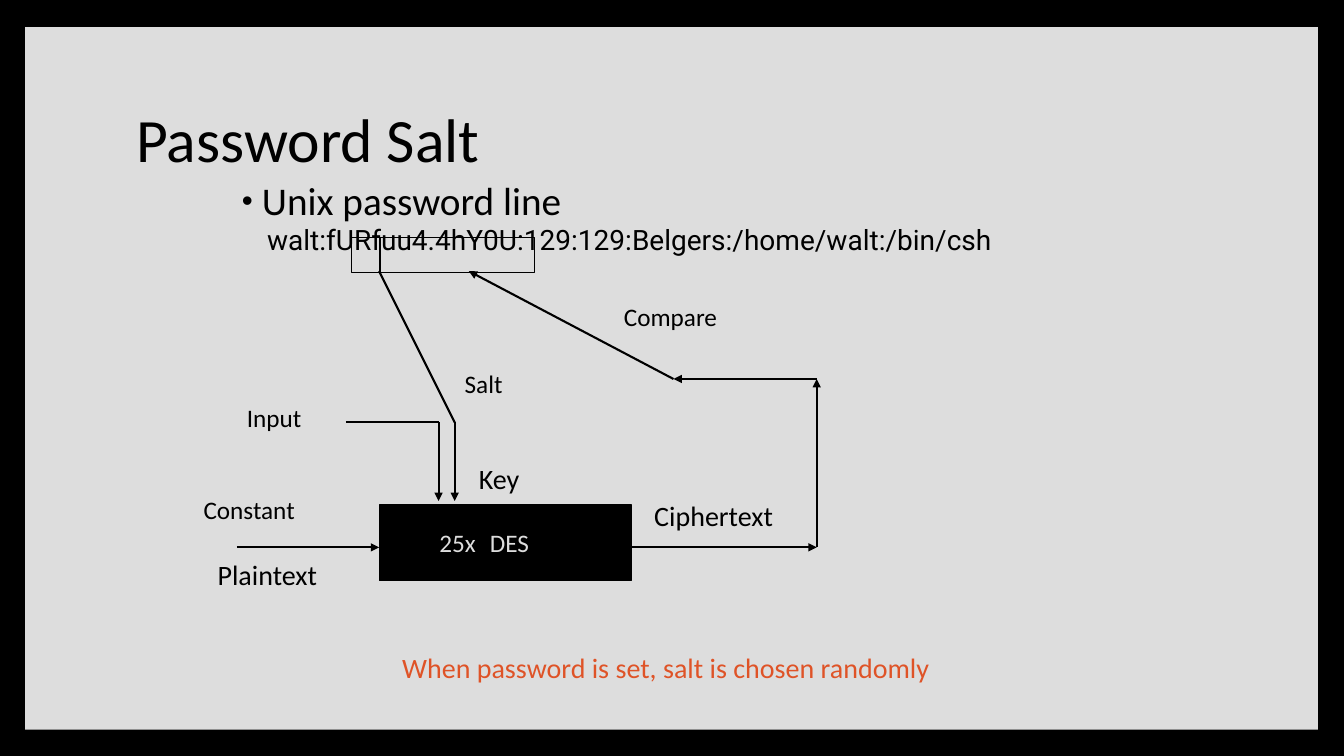
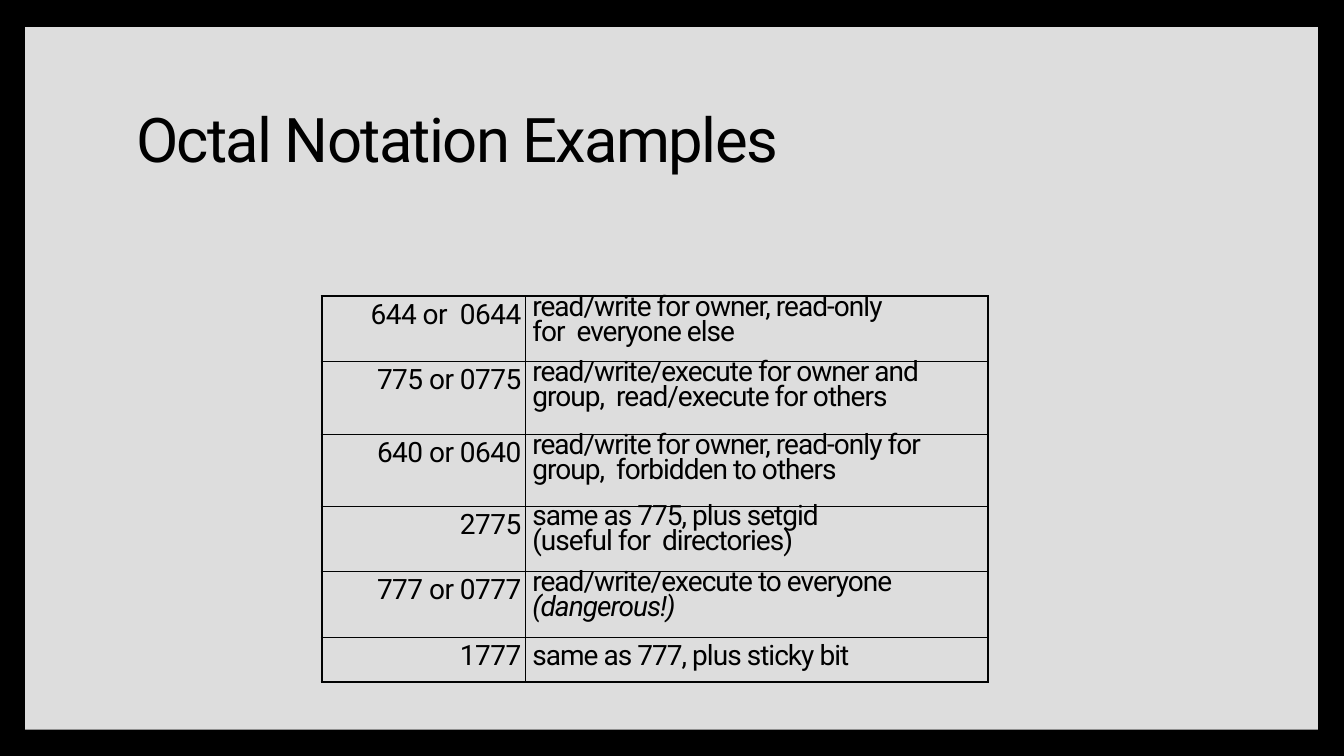
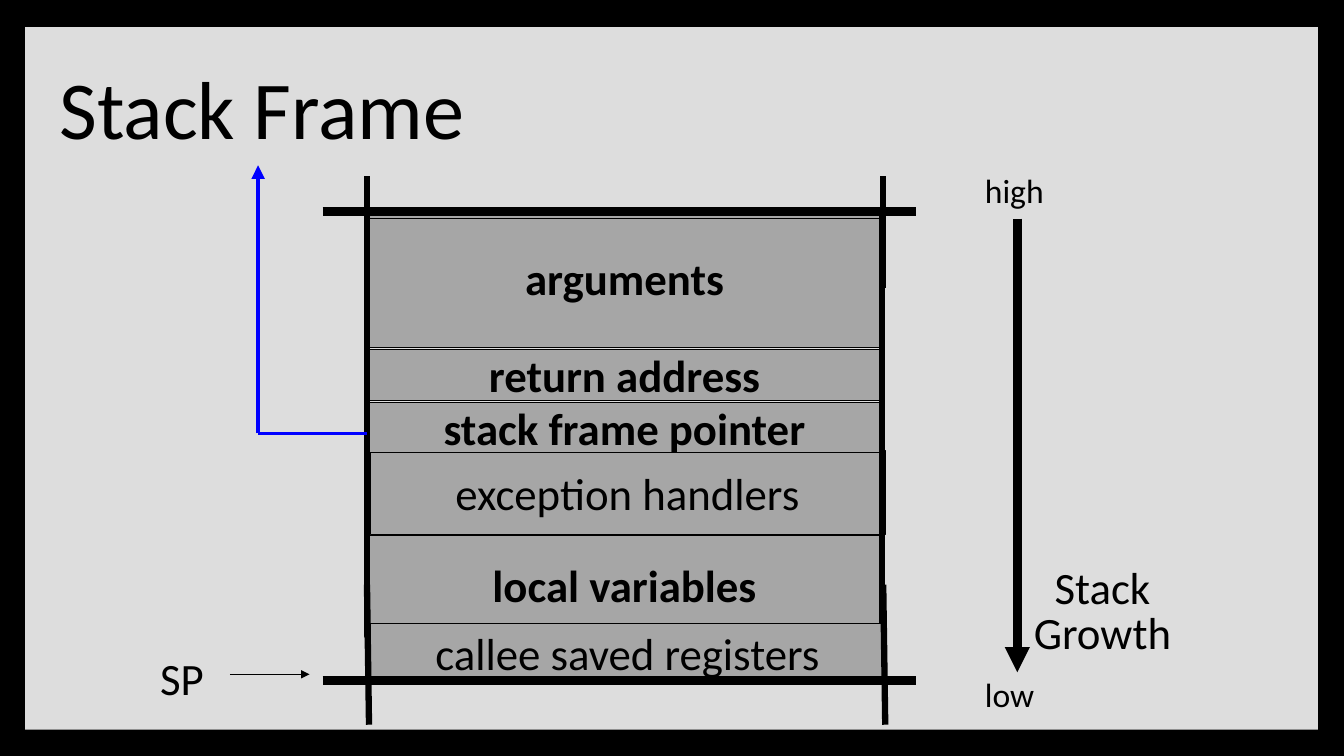
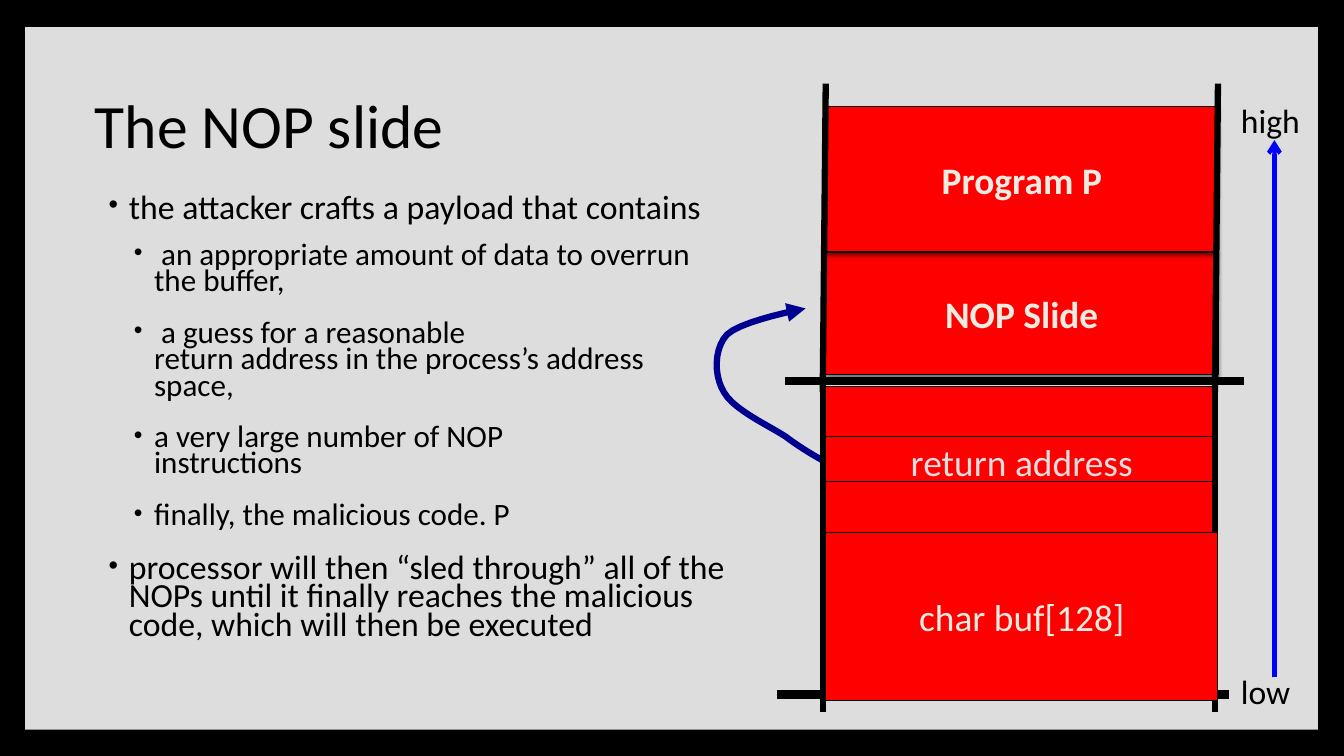
from lxml.etree import SubElement
from pptx import Presentation
from pptx.dml.color import RGBColor
from pptx.enum.shapes import MSO_CONNECTOR, MSO_SHAPE
from pptx.enum.text import MSO_ANCHOR, MSO_AUTO_SIZE, PP_ALIGN
from pptx.oxml.ns import qn
from pptx.util import Inches, Pt

BLACK = RGBColor(0x00, 0x00, 0x00)
PANEL = RGBColor(0xDD, 0xDD, 0xDD)
GRAY = RGBColor(0xA6, 0xA6, 0xA6)
RED = RGBColor(0xFF, 0x00, 0x00)
CREAM = RGBColor(0xEE, 0xEC, 0xE1)
ORANGE = RGBColor(0xDF, 0x53, 0x27)
BLUE = RGBColor(0x00, 0x00, 0xFF)
NAVY = RGBColor(0x00, 0x00, 0x90)
TABLE_INK = RGBColor(0x01, 0x02, 0x02)


def bezier(start, control_1, control_2, end, steps=10):
    """Points on a cubic curve, without its start."""
    points = []
    for step in range(1, steps + 1):
        t = step / steps
        weights = ((1 - t) ** 3, 3 * t * (1 - t) ** 2, 3 * t * t * (1 - t), t ** 3)
        corners = (start, control_1, control_2, end)
        points.append(tuple(Inches(sum(w * c[axis] for w, c in zip(weights, corners)))
                            for axis in (0, 1)))
    return points


class SlideBuilder:
    def __init__(self):
        self.deck = Presentation()
        self.deck.slide_width = Inches(13.33)
        self.deck.slide_height = Inches(7.5)
        self.layout = self.deck.slide_layouts[5]
        fill = self.layout.background.fill
        fill.solid()
        fill.fore_color.rgb = BLACK
        self.page = None

    def add_page(self, title, left=1.25, top=0.67, width=10.8, height=1.48,
                 size=44, font="Calibri", spacing=0):
        first = self.page is None
        self.page = self.deck.slides.add_slide(self.layout)
        if first:
            panel = self.rectangle(0.25, 0.27, 12.82, 6.97, PANEL, weight=0)
            self.layout.shapes.element.insert(2, panel.element)
        box = self.page.shapes.title
        box.left, box.top = Inches(left), Inches(top)
        box.width, box.height = Inches(width), Inches(height)
        frame = box.text_frame
        frame.auto_size = MSO_AUTO_SIZE.NONE
        frame.vertical_anchor = MSO_ANCHOR.MIDDLE
        para = frame.paragraphs[0]
        self.set_text(para, title, size, font=font, spacing=spacing)
        para.line_spacing = 0.9

    def set_text(self, para, text, size, color=BLACK, font="Calibri", bold=False,
                 italic=False, align=PP_ALIGN.LEFT, spacing=0):
        """Fill a paragraph; spacing is the letter spacing in points."""
        para.text = text
        para.alignment = align
        style = para.font
        style.name, style.size, style.bold, style.italic = font, Pt(size), bold, italic
        style.color.rgb = color
        if spacing:
            for span in para.runs:
                span._r.get_or_add_rPr().set("spc", str(round(spacing * 100)))

    def indent(self, para, left, first=0.0, bullet=False):
        properties = para._p.get_or_add_pPr()
        properties.set("marL", str(Inches(left)))
        properties.set("indent", str(Inches(first)))
        if bullet:
            marks = [("buClr", {}), ("buSzPct", {"val": "80000"}),
                     ("buFont", {"typeface": "Arial"}), ("buChar", {"char": "•"})]
            at = next((i for i, child in enumerate(properties)
                       if child.tag == qn("a:defRPr")), len(properties))
            for offset, (tag, values) in enumerate(marks):
                mark = SubElement(properties, qn("a:" + tag), values)
                if tag == "buClr":
                    SubElement(mark, qn("a:srgbClr"), {"val": str(BLACK)})
                properties.insert(at + offset, mark)

    def label(self, text, left, top, width, height, size=18, color=BLACK,
              align=PP_ALIGN.LEFT):
        box = self.page.shapes.add_textbox(Inches(left), Inches(top),
                                           Inches(width), Inches(height))
        frame = box.text_frame
        frame.word_wrap = False
        frame.auto_size = MSO_AUTO_SIZE.SHAPE_TO_FIT_TEXT
        for number, line in enumerate(text.split("\n")):
            para = frame.add_paragraph() if number else frame.paragraphs[0]
            self.set_text(para, line, size, color, align=align)
        return box

    def outline(self, left, top, width, height, items):
        """Items are (level, text, size, font, bulleted, line spacing, space before)."""
        box = self.page.shapes.add_textbox(Inches(left), Inches(top),
                                           Inches(width), Inches(height))
        frame = box.text_frame
        frame.word_wrap = True
        for number, (level, text, size, font, bullet, leading, before) in enumerate(items):
            para = frame.add_paragraph() if number else frame.paragraphs[0]
            self.set_text(para, text, size, font=font)
            para.line_spacing = leading
            para.space_before = Pt(before)
            para.space_after = Pt(4 * level)
            self.indent(para, 0.25 * (level + 1), -0.2, bullet)

    def rectangle(self, left, top, width, height, fill=None, weight=0.75,
                  text="", size=32, color=BLACK, bold=False, align=PP_ALIGN.CENTER):
        box = self.page.shapes.add_shape(MSO_SHAPE.RECTANGLE, Inches(left), Inches(top),
                                         Inches(width), Inches(height))
        box.shadow.inherit = False
        if fill is None:
            box.fill.background()
        else:
            box.fill.solid()
            box.fill.fore_color.rgb = fill
        if weight:
            box.line.color.rgb = BLACK
            box.line.width = Pt(weight)
        else:
            box.line.fill.background()
        if text:
            frame = box.text_frame
            frame.vertical_anchor = MSO_ANCHOR.MIDDLE
            self.set_text(frame.paragraphs[0], text, size, color, bold=bold, align=align)
        return box

    def drop_shadow(self, box):
        effects = box.element.spPr.find(qn("a:effectLst"))
        shadow = SubElement(effects, qn("a:outerShdw"), {
            "blurRad": str(Pt(3)), "dist": str(Pt(2)), "dir": "5400000",
            "rotWithShape": "0"})
        color = SubElement(shadow, qn("a:srgbClr"), {"val": str(BLACK)})
        SubElement(color, qn("a:alpha"), {"val": "45000"})

    def stroke(self, shape, weight, color, head):
        shape.line.color.rgb = color
        shape.line.width = Pt(weight)
        if head:
            SubElement(shape.line._get_or_add_ln(), qn("a:tailEnd"), {"type": head})

    def line(self, x1, y1, x2, y2, weight=1.5, color=BLACK, head=None):
        link = self.page.shapes.add_connector(MSO_CONNECTOR.STRAIGHT, Inches(x1), Inches(y1),
                                              Inches(x2), Inches(y2))
        self.stroke(link, weight, color, head)
        SubElement(link.element.spPr, qn("a:effectLst"))

    def arrow(self, x1, y1, x2, y2, weight=1.5, color=BLACK, head="triangle"):
        self.line(x1, y1, x2, y2, weight, color, head)

    def curved_arrow(self, start, curves, weight, color):
        """Draw cubic curves, each given as two controls and an end."""
        builder = self.page.shapes.build_freeform(Inches(start[0]), Inches(start[1]))
        for control_1, control_2, end in curves:
            builder.add_line_segments(bezier(start, control_1, control_2, end), close=False)
            start = end
        curve = builder.convert_to_shape()
        curve.shadow.inherit = False
        curve.fill.background()
        self.stroke(curve, weight, color, "triangle")

    def cell_borders(self, cell, weights):
        properties = cell._tc.get_or_add_tcPr()
        for number, (side, weight) in enumerate(zip("LRTB", weights)):
            border = SubElement(properties, qn("a:ln" + side), {"w": str(Pt(weight))})
            fill = SubElement(border, qn("a:solidFill"))
            SubElement(fill, qn("a:srgbClr"), {"val": str(TABLE_INK)})
            properties.insert(number, border)

    def mode_table(self, left, top, widths, rows):
        """Rows hold height, mode, description paragraphs and right margin."""
        height = sum(row[0] for row in rows)
        table = self.page.shapes.add_table(len(rows), len(widths), Inches(left), Inches(top),
                                           Inches(sum(widths)), Inches(height)).table
        table.first_row = table.horz_banding = False
        for column, width in zip(table.columns, widths):
            column.width = Inches(width)
        last = len(rows) - 1
        for number, (height, mode, lines, margin) in enumerate(rows):
            table.rows[number].height = Inches(height)
            columns = (([mode], PP_ALIGN.RIGHT, 0.04, -0.4), (lines, PP_ALIGN.LEFT, margin, -0.7))
            for index, (texts, align, right, spacing) in enumerate(columns):
                cell = table.cell(number, index)
                cell.fill.background()
                cell.margin_left, cell.margin_right = Inches(0.07), Inches(right)
                cell.margin_top, cell.margin_bottom = Inches(0.02), 0
                self.cell_borders(cell, (0.75 if index else 1.5, 1.5 if index else 0.75,
                                         0.75 if number else 1.5,
                                         1.5 if number == last else 0.75))
                for order, text in enumerate(texts):
                    frame = cell.text_frame
                    para = frame.add_paragraph() if order else frame.paragraphs[0]
                    self.set_text(para, text, 20, font="Roboto", italic=order > 0,
                                  align=align, spacing=spacing)
                    para.space_before = Pt(0 if order else 1.3)
                    if index and number < last:
                        para.line_spacing = Pt(17.8)


def password_salt(slides):
    slides.add_page("Password Salt")
    slides.outline(2.25, 1.75, 8.58, 1.17, [
        (0, "Unix password line", 28, "Calibri", True, 0.9, 14),
        (1, "walt:fURfuu4.4hY0U:129:129:Belgers:/home/walt:/bin/csh",
         20, "Roboto", False, 0.9, 2)])
    slides.rectangle(3.49, 2.36, 0.28, 0.34)
    slides.rectangle(3.76, 2.36, 1.54, 0.34)
    cipher = slides.rectangle(3.76, 5.01, 2.5, 0.75, BLACK, text="25x \tDES", size=18,
                              color=PANEL, align=PP_ALIGN.LEFT)
    slides.indent(cipher.text_frame.paragraphs[0], 0.5)
    for text, left, top, width, size in (
            ("Input", 2.35, 3.94, 0.75, 18), ("Salt", 4.51, 3.61, 0.61, 18),
            ("Key", 4.65, 4.53, 0.65, 20), ("Constant", 1.92, 4.85, 1.15, 18),
            ("Plaintext", 2.06, 5.48, 1.25, 20), ("Ciphertext", 6.39, 4.9, 1.46, 20),
            ("Compare", 6.09, 2.94, 1.16, 18)):
        slides.label(text, left, top, width, 0.4, size)
    slides.line(3.43, 4.19, 4.35, 4.19)
    slides.line(3.76, 2.69, 4.51, 4.19)
    for ends in ((4.35, 4.19, 4.35, 4.97), (4.51, 4.19, 4.51, 4.97),
                 (2.35, 5.43, 3.76, 5.43), (6.26, 5.43, 8.1, 5.43),
                 (8.1, 5.43, 8.1, 3.76), (8.1, 3.76, 6.68, 3.76),
                 (6.68, 3.76, 4.65, 2.69)):
        slides.arrow(*ends)
    note = slides.label("When password is set, salt is chosen randomly",
                        3.89, 6.5, 5.52, 0.35, 20, ORANGE)
    note.text_frame.paragraphs[0].line_spacing = 0.7


def octal_notation(slides):
    slides.add_page("Octal Notation Examples", font="Roboto", spacing=-1.2)
    slides.mode_table(3.19, 2.94, (2.02, 4.59), [
        (0.65, "644 or  0644", ["read/write for owner, read-only for  everyone else"], 0.9),
        (0.72, "775 or 0775",
         ["read/write/execute for owner and group,  read/execute for others"], 0.5),
        (0.71, "640 or 0640",
         ["read/write for owner, read-only for group,  forbidden to others"], 0.5),
        (0.65, "2775", ["same as 775, plus setgid (useful for  directories)"], 0.9),
        (0.65, "777 or 0777", ["read/write/execute to everyone", "(dangerous!)"], 0.5),
        (0.45, "1777", ["same as 777, plus sticky bit"], 0.5)])


def stack_frame(slides):
    slides.add_page("Stack Frame", 0.49, 0.49, 12, 1.25, size=58.7)
    for text, left, top, height, bold in (
            ("exception handlers", 3.67, 4.47, 0.83, False),
            ("arguments", 3.64, 2.06, 1.39, True),
            ("return address", 3.64, 3.47, 0.5, True),
            ("stack frame pointer", 3.64, 3.99, 0.5, True),
            ("local variables", 3.64, 5.31, 0.98, True)):
        slides.rectangle(left, top, 5.11, height, GRAY, text=text, bold=bold)
    slides.line(3.64, 2.17, 8.75, 2.17, 0.75)
    slides.rectangle(3.64, 2.11, 5.11, 4.2, weight=4.5)
    slides.rectangle(3.67, 6.19, 5.11, 0.56, GRAY, text="callee saved registers")
    for y in (2.1, 6.75):
        slides.line(3.2, y, 9.09, y, 6)
    for x in (3.64, 8.76):
        slides.line(x, 1.75, x, 2.86, 4.5)
        slides.line(x, 5.8, x + 0.02, 7.19, 4.5)
    slides.line(3.64, 4.3, 2.56, 4.3, 2.25, BLUE)
    slides.arrow(2.56, 4.3, 2.56, 1.64, 3.25, BLUE)
    slides.arrow(2.28, 6.69, 3.07, 6.69, 0.75)
    slides.arrow(10.09, 2.17, 10.09, 6.67, 6)
    slides.label("SP", 1.45, 6.41, 0.71, 0.64, 32, align=PP_ALIGN.CENTER)
    slides.label("high", 9.67, 1.64, 0.82, 0.5, 24)
    slides.label("low", 9.67, 6.64, 0.7, 0.5, 24)
    growth = slides.label("Stack\nGrowth", 10.13, 5.5, 1.61, 1.11, 32, align=PP_ALIGN.CENTER)
    second = growth.text_frame.paragraphs[1]
    second.line_spacing = 0.2
    second.space_before = Pt(20)


def nop_slide(slides):
    slides.add_page("The NOP slide", 0.84, 0.54)
    points = [
        (0, "the attacker crafts a payload that contains"),
        (1, " an appropriate amount of data to overrun the buffer,"),
        (1, " a guess for a reasonable\nreturn address in the process’s address space,"),
        (1, "a very large number of NOP\ninstructions"),
        (1, "finally, the malicious code. P"),
        (0, "processor will then “sled through” all of the NOPs until it finally "
            "reaches the malicious code, which will then be executed")]
    slides.outline(0.93, 1.9, 6.39, 4.87,
                   [(level, text, 22.2 if level else 24.1, "Calibri", True, 0.7, 14.4)
                    for level, text in points])
    for text, top in (("", 3.83), ("return address", 4.33), ("", 4.78)):
        slides.rectangle(8.19, top, 3.89, 0.5, RED, text=text, size=26.7, color=PANEL)
    slides.line(7.71, 6.89, 12.19, 6.89, 6)
    slides.line(7.79, 3.78, 12.34, 3.78, 6)
    for text, top, height in (("NOP Slide", 2.5, 1.22), ("Program P", 1.06, 1.44)):
        slides.drop_shadow(slides.rectangle(8.19, top, 3.89, height, RED, 0.79, text,
                                            26.7, CREAM, True))
    slides.curved_arrow((8.18, 4.58), [
        ((8.06, 4.51), (7.95, 4.45), (7.79, 4.33)),
        ((7.62, 4.22), (7.27, 4.06), (7.18, 3.89)),
        ((7.08, 3.73), (7.08, 3.46), (7.21, 3.32)),
        ((7.35, 3.18), (7.99, 3.06), (7.99, 3.06))], 4.5, NAVY)
    slides.rectangle(8.16, 3.78, 3.89, 3.11, weight=4.5)
    for x in (8.16, 12.05):
        slides.line(x + 0.03, 0.83, x, 3.89, 4.5)
        slides.line(x, 6.27, x, 7.06, 4.5)
    slides.arrow(12.64, 6.72, 12.64, 1.39, 3, BLUE, "arrow")
    slides.label("low", 12.21, 6.61, 0.7, 0.5, 24)
    slides.label("high", 12.21, 0.94, 0.82, 0.5, 24)
    slides.rectangle(8.19, 5.28, 3.89, 1.67, RED, text="char buf[128]", size=26.7, color=CREAM)


def main():
    slides = SlideBuilder()
    for build in (password_salt, octal_notation, stack_frame, nop_slide):
        build(slides)
    slides.deck.save("out.pptx")


if __name__ == "__main__":
    main()
